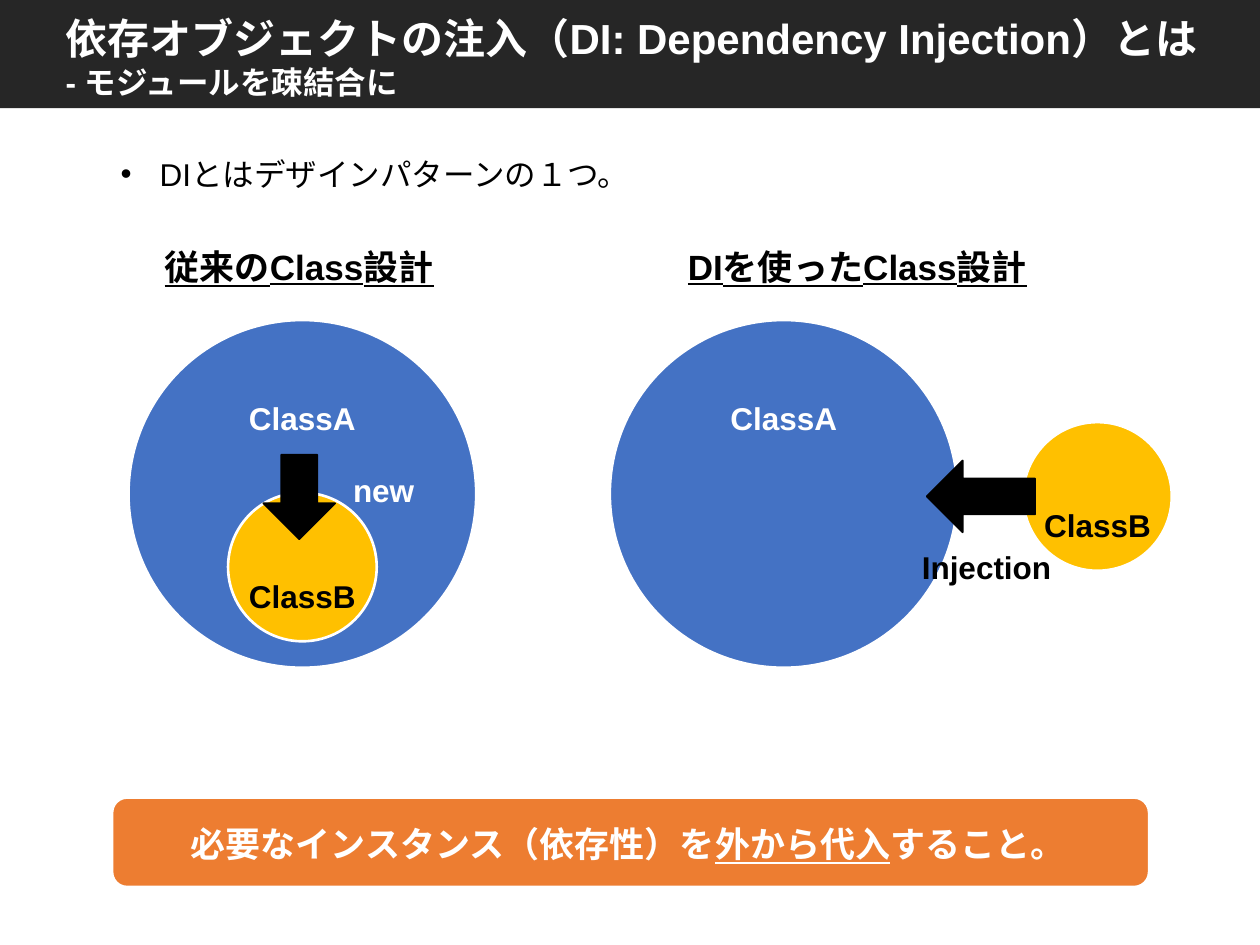
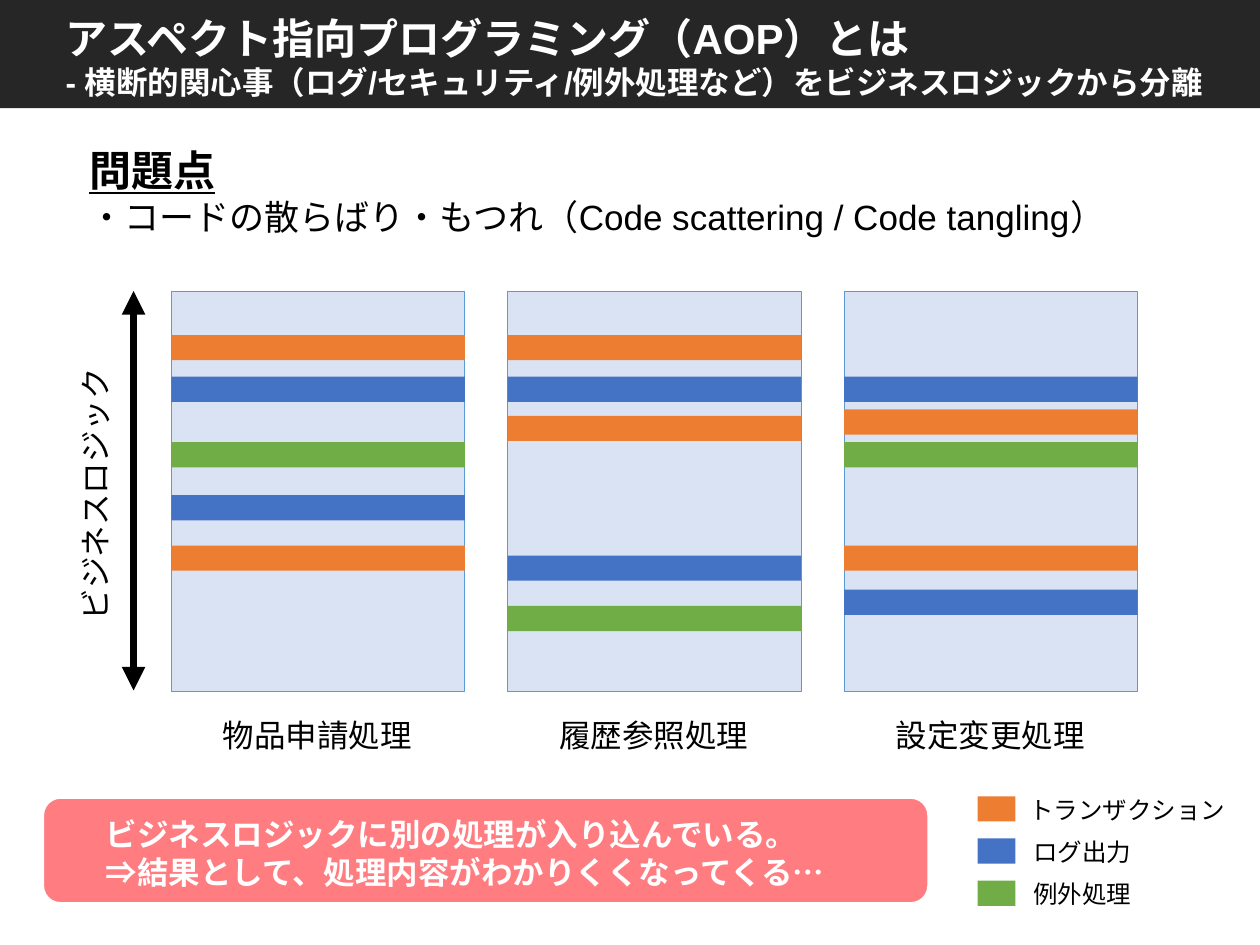
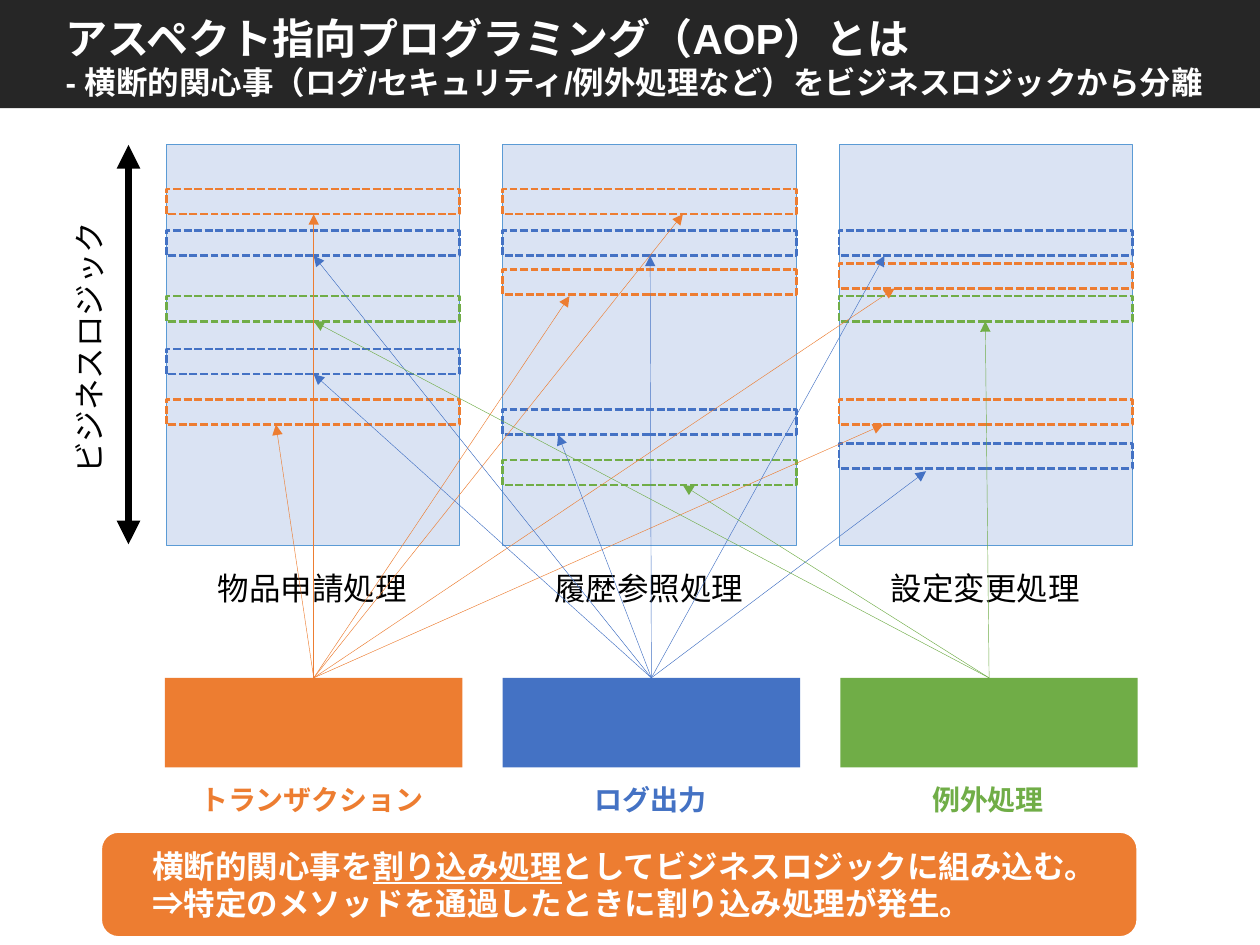
from dataclasses import dataclass, replace
from typing import Any, NamedTuple

from lxml import etree
from pptx import Presentation
from pptx import util as u
from pptx.dml.color import RGBColor
from pptx.enum import dml, shapes, text
from pptx.oxml import ns


@dataclass(frozen=True)
class Theme:
    latin: str = "Arial"
    body: str = "Calibri"
    white: str = "FFFFFF"
    black: str = "000000"
    header: str = "262626"
    orange: str = "ED7D31"
    blue: str = "4472C4"
    green: str = "70AD47"
    yellow: str = "FFC000"
    pink: str = "FF7C80"
    panel: str = "DAE3F3"
    panel_edge: str = "5B9BD5"
    title: int = 24
    heading: int = 20
    text: int = 18
    concern: int = 16
    legend: int = 14
    outline: float = 1.5


THEME = Theme()


@dataclass(frozen=True)
class Style:
    size: int = THEME.text
    color: str = THEME.black
    name: str = THEME.latin
    bold: bool = False
    underline: bool = False


class Box(NamedTuple):
    left: float
    top: float
    width: float
    height: float


class Point(NamedTuple):
    x: float
    y: float


class Run(NamedTuple):
    words: str
    style: Style


class Outline(NamedTuple):
    color: str
    width: float
    dash: Any = None


class Concern(NamedTuple):
    name: str
    color: str
    label_width: float
    legend_left: float
    targets: list[Point]


class Stripe(NamedTuple):
    offset: float
    concern: Concern


class Process(NamedTuple):
    name: str
    stripes: list[Stripe]


class Label(NamedTuple):
    words: str
    box: Box
    style: Style


class Figure(NamedTuple):
    kind: Any
    box: Box
    fill: str
    outline: Outline
    rotation: int = 0


STRONG = Style(bold=True)
STRONG_WHITE = replace(STRONG, color=THEME.white)
HEADING = Style(size=THEME.heading, bold=True, underline=True)
BODY = Style(name=THEME.body)
WHITE_EDGE = Outline(THEME.white, THEME.outline)
BLACK_EDGE = Outline(THEME.black, 1)

TRANSACTION = Concern("トランザクション", THEME.orange, 2.0, 8.07, [
    Point(2.19, 3.37), Point(2.49, 1.7), Point(4.52, 2.35),
    Point(5.42, 1.7), Point(7.01, 3.37), Point(7.1, 2.29)])
LOGGING = Concern("ログ出力", THEME.blue, 1.1, 8.1, [
    Point(2.49, 2.03), Point(2.49, 2.97), Point(4.43, 3.45),
    Point(5.16, 2.03), Point(7.02, 2.03), Point(7.35, 3.74)])
EXCEPTION = Concern("例外処理", THEME.green, 1.1, 8.1, [
    Point(7.82, 2.55), Point(5.42, 3.85), Point(2.49, 2.55)])
CONCERNS = [TRANSACTION, LOGGING, EXCEPTION]

PROCESSES = [
    Process("物品申請処理", [
        Stripe(0.35, TRANSACTION), Stripe(0.68, LOGGING), Stripe(1.2, EXCEPTION),
        Stripe(1.62, LOGGING), Stripe(2.02, TRANSACTION)]),
    Process("履歴参照処理", [
        Stripe(0.35, TRANSACTION), Stripe(0.68, LOGGING), Stripe(0.99, TRANSACTION),
        Stripe(2.1, LOGGING), Stripe(2.5, EXCEPTION)]),
    Process("設定変更処理", [
        Stripe(0.68, LOGGING), Stripe(0.94, TRANSACTION), Stripe(1.2, EXCEPTION),
        Stripe(2.02, TRANSACTION), Stripe(2.37, LOGGING)]),
]
COLUMN_WIDTH, COLUMN_HEIGHT, COLUMN_STEP = 2.33, 3.18, 2.67
STRIPE_HEIGHT = 0.2

AOP_TITLE = "アスペクト指向プログラミング（AOP）とは"
AOP_SUBTITLE = "- 横断的関心事（ログ/セキュリティ/例外処理など）をビジネスロジックから分離"


def apply(target: Any, values: dict[str, Any]) -> None:
    for name, value in values.items():
        setattr(target, name, value)


def place(shape: Any, box: Box) -> None:
    apply(shape, {name: u.Inches(value) for name, value in box._asdict().items()})


def write(frame: Any, paragraphs: list[list[Run]], align: Any) -> None:
    for index, runs in enumerate(paragraphs):
        paragraph = frame.add_paragraph() if index else frame.paragraphs[0]
        paragraph.alignment = align
        for words, style in runs:
            run = paragraph.add_run()
            run.text = words
            apply(run.font, {"name": style.name, "size": u.Pt(style.size),
                             "bold": style.bold, "underline": style.underline})
            run.font.color.rgb = RGBColor.from_string(style.color)


def add_text(slide: Any, box: Box, paragraphs: list[list[Run]],
             align: Any = text.PP_ALIGN.LEFT, wrap: bool = True) -> Any:
    shape = slide.shapes.add_textbox(*map(u.Inches, box))
    apply(shape.text_frame, {"word_wrap": wrap,
                             "auto_size": text.MSO_AUTO_SIZE.SHAPE_TO_FIT_TEXT})
    write(shape.text_frame, paragraphs, align)
    return shape


def add_label(slide: Any, label: Label) -> None:
    add_text(slide, label.box, [[Run(label.words, label.style)]], text.PP_ALIGN.CENTER)


def draw_line(line: Any, outline: Outline) -> None:
    line.color.rgb = RGBColor.from_string(outline.color)
    apply(line, {"width": u.Pt(outline.width), "dash_style": outline.dash})


def add_figure(slide: Any, kind: Any, box: Box, fill: str | None,
               outline: Outline | None = None) -> Any:
    shape = slide.shapes.add_shape(kind, *map(u.Inches, box))
    shape.shadow.inherit = False
    if fill:
        shape.fill.solid()
        shape.fill.fore_color.rgb = RGBColor.from_string(fill)
    else:
        shape.fill.background()
    if outline:
        draw_line(shape.line, outline)
    else:
        shape.line.fill.background()
    return shape


def add_rectangle(slide: Any, box: Box, fill: str | None,
                  outline: Outline | None = None) -> Any:
    return add_figure(slide, shapes.MSO_SHAPE.RECTANGLE, box, fill, outline)


def add_callout(slide: Any, box: Box, fill: str, text_box: Box,
                paragraphs: list[list[Run]], align: Any = text.PP_ALIGN.LEFT) -> None:
    add_figure(slide, shapes.MSO_SHAPE.ROUNDED_RECTANGLE, box, fill, WHITE_EDGE)
    add_text(slide, text_box, paragraphs, align)


def add_arrow(slide: Any, start: Point, end: Point, outline: Outline,
              ends: tuple[str, ...] = ("headEnd",)) -> None:
    connector = slide.shapes.add_connector(
        shapes.MSO_CONNECTOR.STRAIGHT, *map(u.Inches, (*start, *end)))
    draw_line(connector.line, outline)
    properties = connector.element.spPr
    line = properties.find(ns.qn("a:ln"))
    for end_name in ends:
        etree.SubElement(line, ns.qn(f"a:{end_name}"), type="triangle")
    etree.SubElement(properties, ns.qn("a:effectLst"))


def add_slide(presentation: Any, title: str, subtitle: str) -> Any:
    slide = presentation.slides.add_slide(presentation.slide_layouts.get_by_name("Title Only"))
    placeholder = slide.shapes.title
    band = add_rectangle(slide, Box(0, 0, 10, 0.86), THEME.header)
    placeholder.element.addprevious(band.element)
    place(placeholder, Box(0.42, 0.05, 9.58, 0.81))
    apply(placeholder.text_frame, {
        "word_wrap": True, "auto_size": text.MSO_AUTO_SIZE.NONE,
        "vertical_anchor": text.MSO_ANCHOR.TOP, "margin_right": 0})
    write(placeholder.text_frame,
          [[Run(title, replace(STRONG_WHITE, size=THEME.title))],
           [Run(subtitle, STRONG_WHITE)]], text.PP_ALIGN.LEFT)
    return slide


def add_processes(slide: Any, left: float, top: float, woven: bool) -> None:
    for index, process in enumerate(PROCESSES):
        column = left + index * COLUMN_STEP
        add_rectangle(slide, Box(column, top, COLUMN_WIDTH, COLUMN_HEIGHT),
                      THEME.panel, Outline(THEME.panel_edge, 0.5))
        for offset, concern in process.stripes:
            box = Box(column, top + offset, COLUMN_WIDTH, STRIPE_HEIGHT)
            if woven:
                add_rectangle(slide, box, None, Outline(
                    concern.color, THEME.outline, dml.MSO_LINE.SQUARE_DOT))
            else:
                add_rectangle(slide, box, concern.color)
        add_text(slide, Box(column + 0.31, top + 3.32, 1.72, 0.4),
                 [[Run(process.name, BODY)]], wrap=False)
    axis = left - 0.3
    add_arrow(slide, Point(axis, top), Point(axis, top + 3.17),
              Outline(THEME.black, 4.5), ("headEnd", "tailEnd"))
    caption = add_text(slide, Box(left - 1.72, top + 1.4, 2.22, 0.4),
                       [[Run("ビジネスロジック", BODY)]], wrap=False)
    caption.rotation = 270


def build_injection(presentation: Any) -> None:
    slide = add_slide(presentation, "依存オブジェクトの注入（DI: Dependency Injection）とは",
                      "- モジュールを疎結合に")
    oval, arrow = shapes.MSO_SHAPE.OVAL, shapes.MSO_SHAPE.DOWN_ARROW
    figures = [
        Figure(oval, Box(1.02, 2.54, 2.76, 2.76), THEME.blue, WHITE_EDGE),
        Figure(oval, Box(1.81, 3.91, 1.18, 1.18), THEME.yellow, WHITE_EDGE),
        Figure(arrow, Box(2.09, 3.61, 0.57, 0.67), THEME.black, BLACK_EDGE),
        Figure(oval, Box(4.84, 2.54, 2.76, 2.76), THEME.blue, WHITE_EDGE),
        Figure(oval, Box(8.12, 3.35, 1.18, 1.18), THEME.yellow, WHITE_EDGE),
        Figure(arrow, Box(7.5, 3.51, 0.57, 0.86), THEME.black, BLACK_EDGE, 90),
    ]
    for figure in figures:
        shape = add_figure(slide, figure.kind, figure.box, figure.fill, figure.outline)
        shape.rotation = figure.rotation
    labels = [
        Label("ClassA", Box(1.81, 3.12, 1.18, 0.4), STRONG_WHITE),
        Label("ClassB", Box(1.81, 4.53, 1.18, 0.4), STRONG),
        Label("new", Box(2.64, 3.69, 0.81, 0.4), STRONG_WHITE),
        Label("従来のClass設計", Box(1.11, 1.9, 2.53, 0.44), HEADING),
        Label("DIを使ったClass設計", Box(5.23, 1.9, 3.15, 0.44), HEADING),
        Label("ClassA", Box(5.63, 3.12, 1.18, 0.4), STRONG_WHITE),
        Label("ClassB", Box(8.12, 3.97, 1.18, 0.4), STRONG),
        Label("Injection", Box(7.14, 4.3, 1.38, 0.4), STRONG),
    ]
    for label in labels:
        add_label(slide, label)
    style = Style(THEME.heading, THEME.white, THEME.body, bold=True)
    add_callout(slide, Box(0.89, 6.33, 8.23, 0.71), THEME.orange, Box(1.08, 6.48, 7.81, 0.44),
                [[Run("必要なインスタンス（依存性）を", style),
                  Run("外から代入", replace(style, underline=True)),
                  Run("すること。", style)]], text.PP_ALIGN.CENTER)
    definition = add_text(slide, Box(0.86, 1.18, 4.84, 0.4),
                          [[Run("DIとはデザインパターンの１つ。", Style())]])
    properties = definition.text_frame.paragraphs[0]._p.get_or_add_pPr()
    indent = u.Inches(0.31)
    properties.set("marL", str(indent))
    properties.set("indent", str(-indent))
    etree.SubElement(properties, ns.qn("a:buFont"), typeface=THEME.latin)
    etree.SubElement(properties, ns.qn("a:buChar"), char="•")


def build_scattering(presentation: Any) -> None:
    slide = add_slide(presentation, AOP_TITLE, AOP_SUBTITLE)
    add_text(slide, Box(0.61, 1.1, 9.02, 0.84), [
        [Run("問題点", replace(HEADING, size=THEME.title))],
        [Run("・コードの散らばり・もつれ（Code scattering / Code tangling）",
             Style(size=THEME.heading))]])
    add_processes(slide, 1.36, 2.31, woven=False)
    for index, concern in enumerate(CONCERNS):
        top = 6.32 + index * 0.335
        add_rectangle(slide, Box(7.76, top, 0.3, STRIPE_HEIGHT), concern.color)
        add_text(slide, Box(concern.legend_left, top - 0.06, concern.label_width * 0.9, 0.34),
                 [[Run(concern.name, replace(BODY, size=THEME.legend))]], wrap=False)
    add_callout(slide, Box(0.34, 6.33, 7.03, 0.84), THEME.pink, Box(0.74, 6.42, 6.15, 0.71), [
        [Run("ビジネスロジックに別の処理が入り込んでいる。", STRONG_WHITE)],
        [Run("⇒結果として、処理内容がわかりくくなってくる…", STRONG_WHITE)]])


def build_weaving(presentation: Any) -> None:
    slide = add_slide(presentation, AOP_TITLE, AOP_SUBTITLE)
    add_processes(slide, 1.32, 1.15, woven=True)
    width, top = 2.36, 5.38
    for index, concern in enumerate(CONCERNS):
        left = 1.31 + index * 2.68
        hub = Point(left + width / 2, top)
        add_rectangle(slide, Box(left, top, width, 0.71), concern.color)
        style = Style(THEME.concern, concern.color, THEME.body, bold=True)
        add_text(slide, Box(hub.x - concern.label_width / 2, 6.16, concern.label_width, 0.37),
                 [[Run(concern.name, style)]], wrap=False)
        for target in concern.targets:
            add_arrow(slide, target, hub, Outline(concern.color, 0.25))
    add_callout(slide, Box(0.8, 6.6, 8.23, 0.84), THEME.orange, Box(1.11, 6.67, 7.64, 0.71), [
        [Run("横断的関心事を", STRONG_WHITE),
         Run("割り込み処理", replace(STRONG_WHITE, underline=True)),
         Run("としてビジネスロジックに組み込む。", STRONG_WHITE)],
        [Run("⇒特定のメソッドを通過したときに割り込み処理が発生。", STRONG_WHITE)]])


def main() -> None:
    presentation = Presentation()
    apply(presentation, {"slide_width": u.Inches(10), "slide_height": u.Inches(7.5)})
    for build in (build_injection, build_scattering, build_weaving):
        build(presentation)
    presentation.save("out.pptx")


if __name__ == "__main__":
    main()
